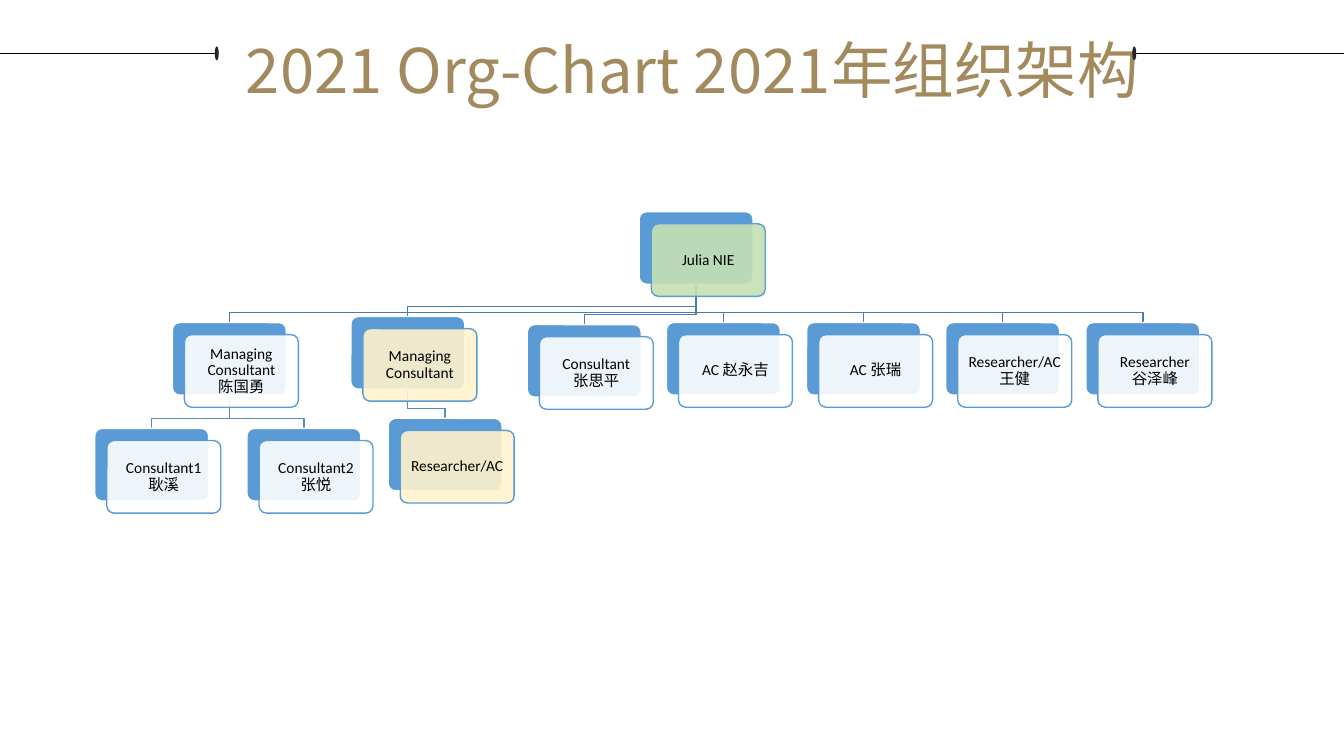
"""Builds the 2021 organisation chart slide."""
from collections import namedtuple

from lxml import etree
from pptx import Presentation
from pptx.dml.color import RGBColor
from pptx.enum.shapes import MSO_CONNECTOR, MSO_SHAPE
from pptx.enum.text import MSO_ANCHOR, PP_ALIGN
from pptx.oxml.ns import qn
from pptx.util import Inches, Pt

STRAIGHT = MSO_CONNECTOR.STRAIGHT
OVAL = MSO_SHAPE.OVAL
ROUNDED = MSO_SHAPE.ROUNDED_RECTANGLE
MIDDLE = MSO_ANCHOR.MIDDLE
CENTER = PP_ALIGN.CENTER

BLACK = RGBColor(0x00, 0x00, 0x00)
WHITE = RGBColor(0xFF, 0xFF, 0xFF)
CHARCOAL = RGBColor(0x25, 0x25, 0x25)
GOLD = RGBColor(0xA3, 0x8A, 0x5D)
BLUE = RGBColor(0x5B, 0x9B, 0xD5)
GREEN = RGBColor(0xC5, 0xE0, 0xB4)
CREAM = RGBColor(0xFF, 0xF2, 0xCC)
UPPER_BRANCH = RGBColor(0x49, 0x7C, 0xAB)
LOWER_BRANCH = RGBColor(0x53, 0x8D, 0xC1)

TITLE_FONT = "Noto Sans CJK SC"
CARD_FONT = "Calibri"
CARD_WIDTH, CARD_HEIGHT = 1.13, 0.72
CARD_OFFSET = 0.12
BRANCH_DROP = 0.1
RAIL_Y = 0.53

Member = namedtuple("Member", "left top lines fill reports")

TEAM = Member(6.34, 2.1, ["Julia NIE"], GREEN, [
    Member(1.71, 3.2, ["Managing Consultant", "陈国勇"], WHITE, [
        Member(0.94, 4.25, ["Consultant1", "耿溪"], WHITE, []),
        Member(2.45, 4.25, ["Consultant2", "张悦"], WHITE, []),
    ]),
    Member(3.48, 3.14, ["Managing Consultant"], CREAM, [
        Member(3.85, 4.15, ["Researcher/AC"], CREAM, []),
    ]),
    Member(5.23, 3.22, ["Consultant", "张思平"], WHITE, []),
    Member(6.61, 3.2, ["AC 赵永吉"], WHITE, []),
    Member(8, 3.2, ["AC 张瑞"], WHITE, []),
    Member(9.38, 3.2, ["Researcher/AC", "王健"], WHITE, []),
    Member(10.77, 3.2, ["Researcher", "谷泽峰"], WHITE, []),
])


def add_title(slide, text):
    """Fill the title placeholder and place it across the top."""
    title = slide.shapes.title
    title.left, title.top = Inches(2.1), Inches(-0.11)
    title.width, title.height = Inches(9.54), Inches(1.21)
    frame = title.text_frame
    frame.word_wrap = True
    frame.vertical_anchor = MIDDLE
    paragraph = frame.paragraphs[0]
    paragraph.alignment = CENTER
    paragraph.line_spacing = 1.5
    run = paragraph.add_run()
    run.text = text
    run.font.size = Pt(44)
    run.font.name = TITLE_FONT
    run.font.color.rgb = GOLD
    latin = run.font._element.find(qn("a:latin"))
    east_asian = etree.Element(qn("a:ea"), typeface=TITLE_FONT)
    latin.addnext(east_asian)


def add_rail(slide, start, end, dot_left):
    """Draw a thin horizontal rule with a dot at its inner end."""
    rule = slide.shapes.add_connector(
        STRAIGHT, Inches(start), Inches(RAIL_Y), Inches(end), Inches(RAIL_Y))
    rule.line.color.rgb = BLACK
    rule.line.width = Pt(0.75)
    etree.SubElement(rule._element.spPr, qn("a:effectLst"))
    dot = slide.shapes.add_shape(
        OVAL, Inches(dot_left), Inches(RAIL_Y - 0.07), Inches(0.04), Inches(0.14))
    dot.shadow.inherit = False
    dot.fill.solid()
    dot.fill.fore_color.rgb = CHARCOAL
    dot.line.fill.background()


def add_branch(slide, manager, report, color):
    """Draw the elbow line from a manager down to a report."""
    start_x = manager.left + CARD_WIDTH / 2
    end_x = report.left + CARD_WIDTH / 2
    bend_y = report.top - BRANCH_DROP
    builder = slide.shapes.build_freeform(
        Inches(start_x), Inches(manager.top + CARD_HEIGHT))
    corners = [(start_x, bend_y), (end_x, bend_y), (end_x, report.top)]
    builder.add_line_segments(
        [(Inches(x), Inches(y)) for x, y in corners], close=False)
    branch = builder.convert_to_shape()
    branch.shadow.inherit = False
    branch.fill.background()
    branch.line.color.rgb = color
    branch.line.width = Pt(1)


def add_panel(slide, left, top, fill, outline):
    """Draw one rounded panel of a card."""
    panel = slide.shapes.add_shape(
        ROUNDED, Inches(left), Inches(top), Inches(CARD_WIDTH), Inches(CARD_HEIGHT))
    panel.adjustments[0] = 0.1
    panel.shadow.inherit = False
    panel.fill.solid()
    panel.fill.fore_color.rgb = fill
    panel.line.color.rgb = outline
    panel.line.width = Pt(1)
    return panel


def add_card(slide, member):
    """Draw a member's backing panel and translucent label panel."""
    add_panel(slide, member.left, member.top, BLUE, WHITE)
    label = add_panel(slide, member.left + CARD_OFFSET,
                      member.top + CARD_OFFSET, member.fill, BLUE)
    fill_color = label._element.spPr.find(qn("a:solidFill"))[0]
    etree.SubElement(fill_color, qn("a:alpha"), val="90000")
    frame = label.text_frame
    frame.word_wrap = True
    frame.vertical_anchor = MIDDLE
    frame.margin_left = frame.margin_right = Inches(0.07)
    frame.margin_top = frame.margin_bottom = Inches(0.07)
    paragraph = frame.paragraphs[0]
    paragraph.alignment = CENTER
    paragraph.line_spacing = 0.9
    for index, line in enumerate(member.lines):
        if index:
            paragraph.add_line_break()
        run = paragraph.add_run()
        run.text = line
        run.font.size = Pt(11)
        run.font.name = CARD_FONT
        run.font.color.rgb = BLACK


def add_branches(slide, manager, color):
    """Draw every branch below a manager."""
    for report in manager.reports:
        add_branches(slide, report, LOWER_BRANCH)
        add_branch(slide, manager, report, color)


def add_cards(slide, member):
    """Draw the cards of a member and everyone below."""
    add_card(slide, member)
    for report in member.reports:
        add_cards(slide, report)


def main():
    """Build and save the slide."""
    deck = Presentation()
    deck.slide_width, deck.slide_height = Inches(13.33), Inches(7.5)
    slide = deck.slides.add_slide(deck.slide_layouts[5])
    add_rail(slide, -0.02, 2.14, 2.13)
    add_rail(slide, 11.25, 13.33, 11.23)
    add_title(slide, "2021 Org-Chart 2021年组织架构")
    add_branches(slide, TEAM, UPPER_BRANCH)
    add_cards(slide, TEAM)
    deck.save("out.pptx")


if __name__ == "__main__":
    main()
